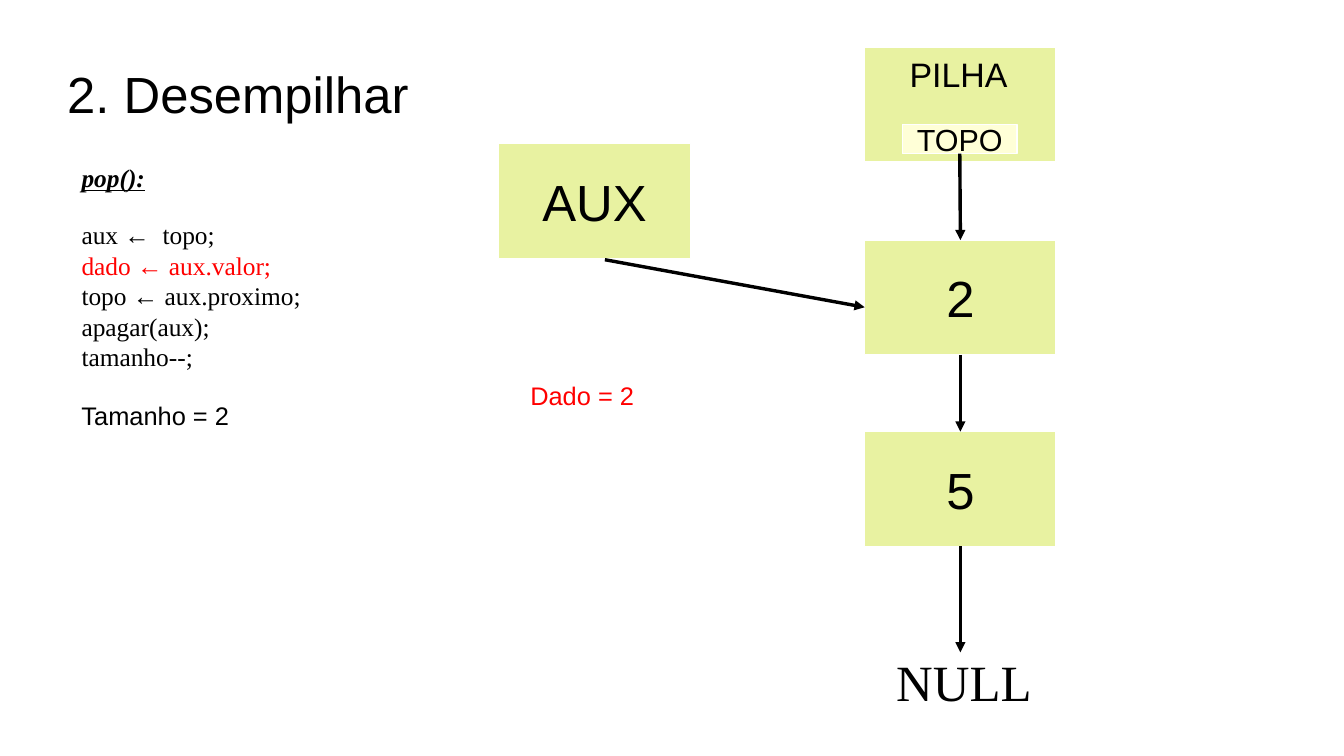
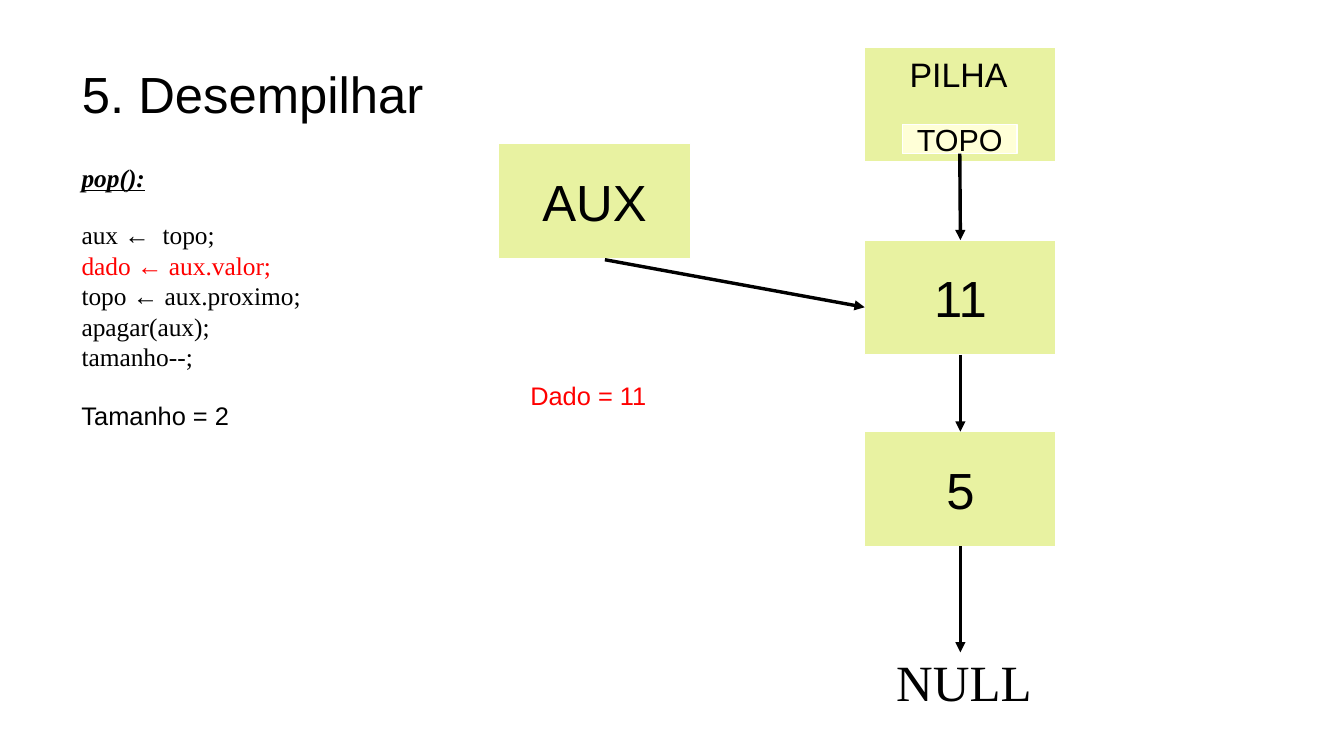
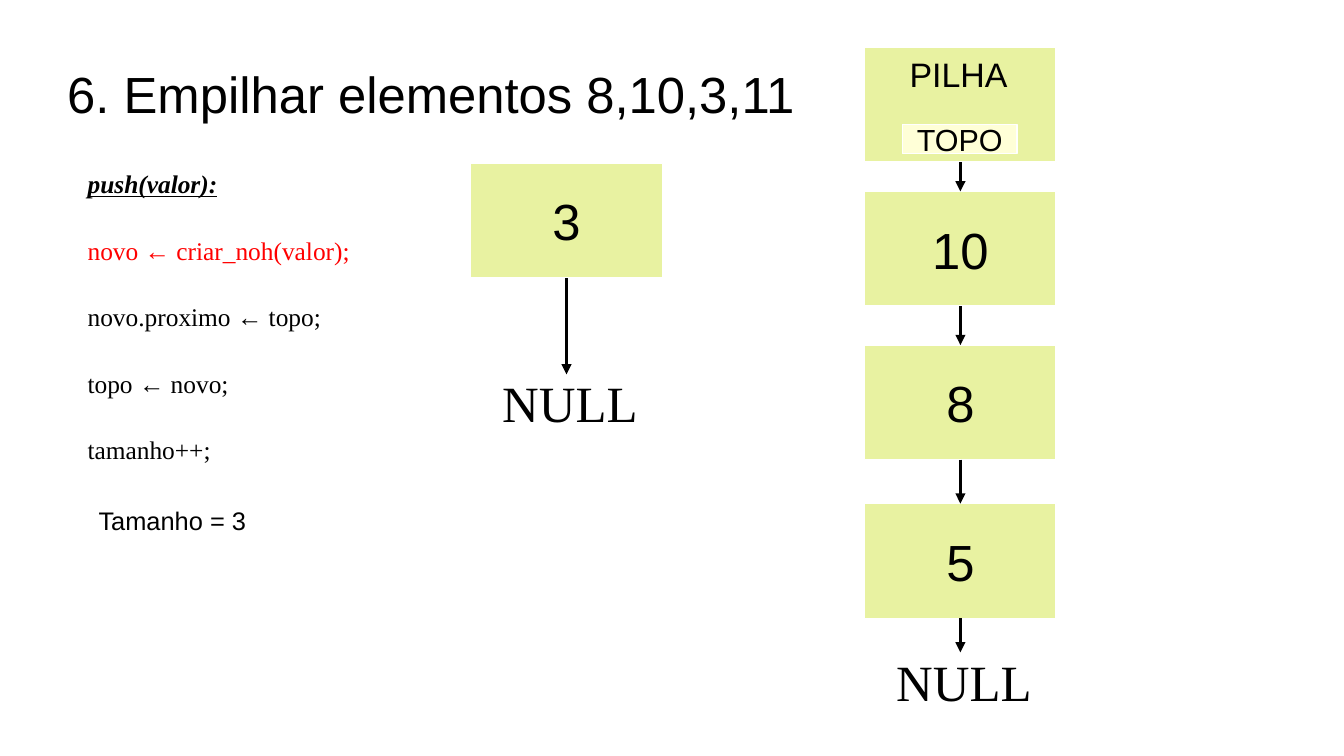
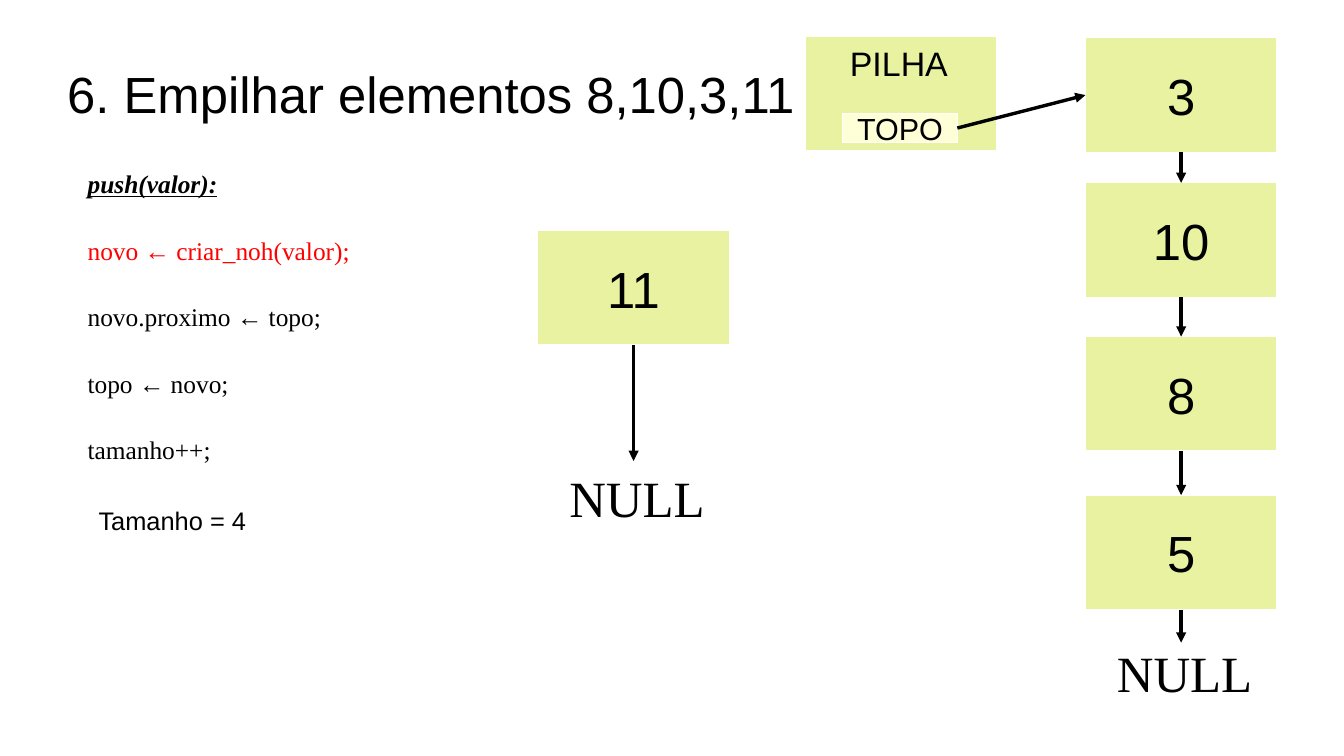
from lxml.etree import SubElement
from pptx import Presentation
from pptx.dml.color import RGBColor
from pptx.enum.shapes import MSO_CONNECTOR, MSO_SHAPE
from pptx.enum.text import MSO_ANCHOR, MSO_AUTO_SIZE, PP_ALIGN
from pptx.oxml.ns import qn
from pptx.util import Inches, Pt

SLIDE_W, SLIDE_H = 11.02, 6.2
NODE_W, NODE_H = 1.57, 0.94
NULL_INSET = 0.16
BOTTOM, TOP, LEFT, RIGHT = 2, 0, 1, 3
BLACK, RED, WHITE, LIME, CREAM = "000000", "FF0000", "FFFFFF", "E8F2A1", "FFFFD7"
SANS, SERIF = "Arial", "Times New Roman"

POP = {
    "at": (0.57, 1.28, 2.81, 2.07), "gap": 16, "size_at": (0.57, 3.23),
    "heading": "pop():", "active": "dado ← aux.valor;",
    "paragraphs": [["aux ←  topo;", "dado ← aux.valor;", "topo ← aux.proximo;",
                    "apagar(aux);", "tamanho--;"]],
}
PUSH = {
    "at": (0.62, 1.33, 3, 2.53), "gap": 21.3, "size_at": (0.71, 4.09),
    "heading": "push(valor):", "active": "novo ← criar_noh(valor);",
    "paragraphs": [["novo ← criar_noh(valor);"], ["novo.proximo ← topo;"],
                   ["topo ← novo;"], ["tamanho++;"]],
}
POP_STACK = {"code": POP, "size": 2, "stack_at": (7.09, 0.39), "column": 7.09,
             "tops": (1.97, 3.54), "null_top": 5.29, "entry": ("topo", BOTTOM, TOP)}
PUSH_TITLE = "6. Empilhar elementos 8,10,3,11"

SLIDES = [
    {**POP_STACK, "title": "2. Desempilhar", "indent": 0, "values": (2, 5), "popped": 2},
    {**POP_STACK, "title": "5. Desempilhar", "indent": 0.12, "values": (11, 5), "popped": 11},
    {"code": PUSH, "size": 3, "title": PUSH_TITLE, "indent": 0, "stack_at": (7.09, 0.39),
     "column": 7.09, "values": (10, 8, 5), "tops": (1.57, 2.83, 4.13), "null_top": 5.29,
     "entry": ("pilha", BOTTOM, TOP),
     "new": {"value": 3, "at": (3.86, 1.34), "null_top": 3, "tip": 3.07}},
    {"code": PUSH, "size": 4, "title": PUSH_TITLE, "indent": 0, "stack_at": (6.6, 0.3),
     "column": 8.9, "values": (3, 10, 8, 5), "tops": (0.31, 1.5, 2.76, 4.06), "null_top": 5.21,
     "entry": ("topo", RIGHT, LEFT),
     "new": {"value": 11, "at": (4.41, 1.89), "null_top": 3.78, "tip": 3.78}},
]


def color(value):
    return RGBColor.from_string(value)


def style(font, size, name=SANS, ink=BLACK, **extras):
    for key, value in {"size": Pt(size), "name": name, **extras}.items():
        setattr(font, key, value)
    font.color.rgb = color(ink)


def place(left, top, width, height):
    return [Inches(v) for v in (left, top, width, height)]


def add_label(slide, text, box, size, name=SANS, ink=BLACK):
    frame = slide.shapes.add_textbox(*place(*box)).text_frame
    frame.word_wrap = True
    frame.text = text
    style(frame.paragraphs[0].runs[0].font, size, name, ink)


def add_box(slide, text, box, fill=LIME, size=30):
    shape = slide.shapes.add_shape(MSO_SHAPE.RECTANGLE, *place(*box))
    shape.shadow.inherit = False
    shape.fill.solid()
    shape.fill.fore_color.rgb = color(fill)
    shape.line.color.rgb = color(WHITE)
    shape.line.width = 0
    if text:
        frame = shape.text_frame
        frame.text = text
        frame.word_wrap = False
        frame.vertical_anchor = MSO_ANCHOR.MIDDLE
        frame.paragraphs[0].alignment = PP_ALIGN.CENTER
        style(frame.paragraphs[0].runs[0].font, size)
    return shape


def add_node(slide, value, left, top):
    return add_box(slide, str(value), (left, top, NODE_W, NODE_H))


def add_arrow(slide, start, end, source=None, target=None):
    arrow = slide.shapes.add_connector(
        MSO_CONNECTOR.STRAIGHT, *[Inches(v) for v in (*start, *end)])
    if source:
        arrow.begin_connect(*source)
    if target:
        arrow.end_connect(*target)
    arrow.line.color.rgb = color(BLACK)
    arrow.line.width = 0
    SubElement(arrow.line._get_or_add_ln(), qn("a:tailEnd"), type="triangle")
    SubElement(arrow._element.spPr, qn("a:effectLst"))


def add_null(slide, node, left, top, node_top, tip):
    add_label(slide, "NULL", (left + NULL_INSET, top, 1.34, 0.54), 30, SERIF)
    middle = left + NODE_W / 2
    add_arrow(slide, (middle, node_top + NODE_H), (middle, tip), (node, BOTTOM))


def add_title(slide, text, indent):
    title = slide.shapes.title
    title.left, title.top, title.width, title.height = place(
        0.05 * SLIDE_W, 0.04 * SLIDE_H, 0.9 * SLIDE_W, SLIDE_H / 6)
    frame = title.text_frame
    frame.text = text
    layout = {"margin_left": Inches(indent), "margin_right": 0, "margin_top": 0,
              "margin_bottom": 0, "word_wrap": True, "auto_size": MSO_AUTO_SIZE.NONE,
              "vertical_anchor": MSO_ANCHOR.MIDDLE}
    for key, value in layout.items():
        setattr(frame, key, value)
    frame.paragraphs[0].alignment = PP_ALIGN.LEFT
    style(frame.paragraphs[0].runs[0].font, 30)


def add_code(slide, code, stack_size):
    frame = slide.shapes.add_textbox(*place(*code["at"])).text_frame
    frame.word_wrap = True
    frame.text = code["heading"]
    style(frame.paragraphs[0].runs[0].font, 15, SERIF, bold=True, italic=True, underline=True)
    for lines in code["paragraphs"]:
        paragraph = frame.add_paragraph()
        paragraph.space_before = Pt(code["gap"])
        for index, line in enumerate(lines):
            if index:
                paragraph.add_line_break()
            run = paragraph.add_run()
            run.text = line
            style(run.font, 15, SERIF, RED if line == code["active"] else BLACK)
    add_label(slide, f"Tamanho = {stack_size}", (*code["size_at"], 1.43, 0.33), 15)


def add_stack(slide, content):
    left, top = content["stack_at"]
    pilha = add_box(slide, "", (left, top, NODE_W, NODE_H))
    topo = add_box(slide, "TOPO", (left + 0.31, top + 0.63, 0.94, 0.24), CREAM, 18)
    add_label(slide, "PILHA", (left + 0.27, top, 1.02, 0.41), 20)

    column, tops = content["column"], content["tops"]
    nodes = [add_node(slide, value, column, y) for value, y in zip(content["values"], tops)]
    owner, exit_side, entry_side = content["entry"]
    source = {"pilha": pilha, "topo": topo}[owner]
    add_arrow(slide, (0, 0), (0, 0), (source, exit_side), (nodes[0], entry_side))
    for upper, lower in zip(nodes, nodes[1:]):
        add_arrow(slide, (0, 0), (0, 0), (upper, BOTTOM), (lower, TOP))
    null_top = content["null_top"]
    add_null(slide, nodes[-1], column, null_top, tops[-1], null_top + 0.06)


def add_popped(slide, value):
    add_node(slide, "AUX", 4.09, 1.18)
    add_arrow(slide, (4.96, 2.13), (7.09, 2.52))
    add_label(slide, f"Dado = {value}", (4.25, 3.07, 1.43, 0.33), 15, ink=RED)


def add_new(slide, new):
    left, top = new["at"]
    node = add_node(slide, new["value"], left, top)
    add_null(slide, node, left, new["null_top"], top, new["tip"])


def main():
    deck = Presentation()
    deck.slide_width, deck.slide_height = Inches(SLIDE_W), Inches(SLIDE_H)
    for content in SLIDES:
        slide = deck.slides.add_slide(deck.slide_layouts[5])
        add_title(slide, content["title"], content["indent"])
        add_stack(slide, content)
        add_code(slide, content["code"], content["size"])
        if "popped" in content:
            add_popped(slide, content["popped"])
        else:
            add_new(slide, content["new"])
    deck.save("out.pptx")


if __name__ == "__main__":
    main()
